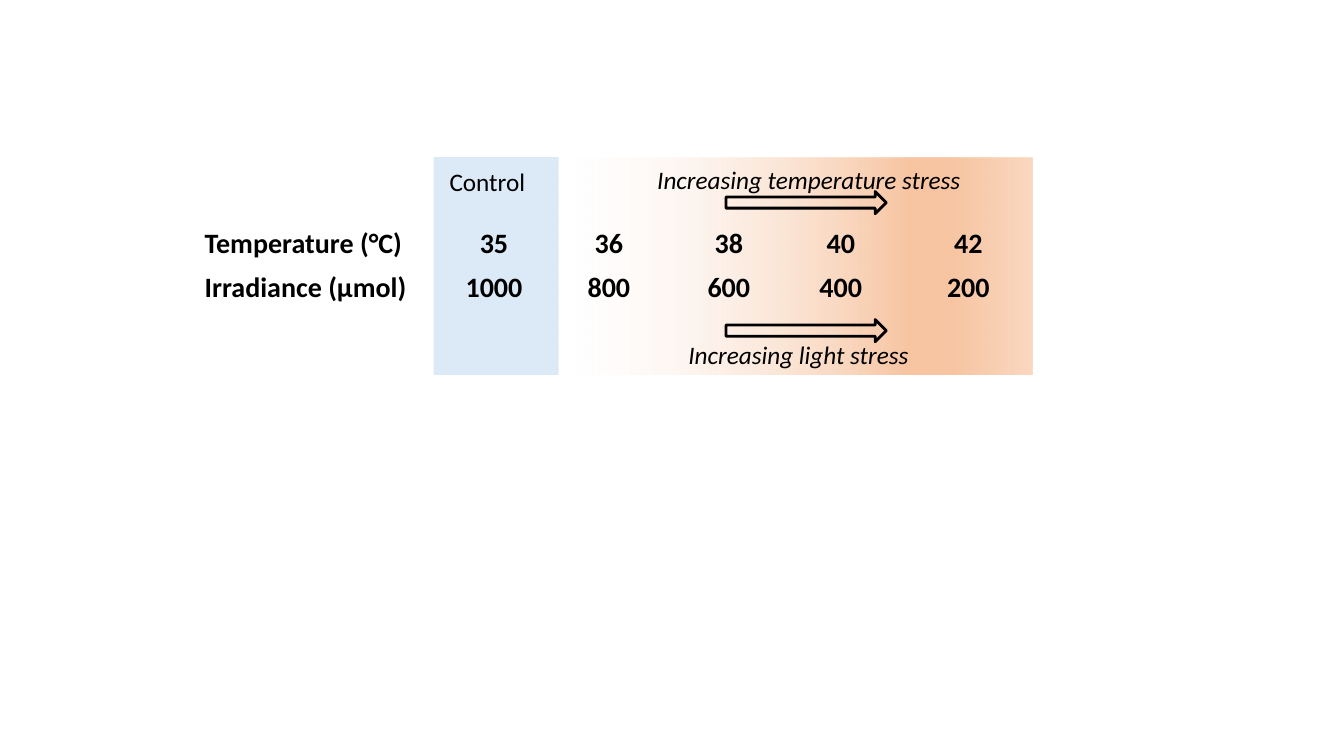
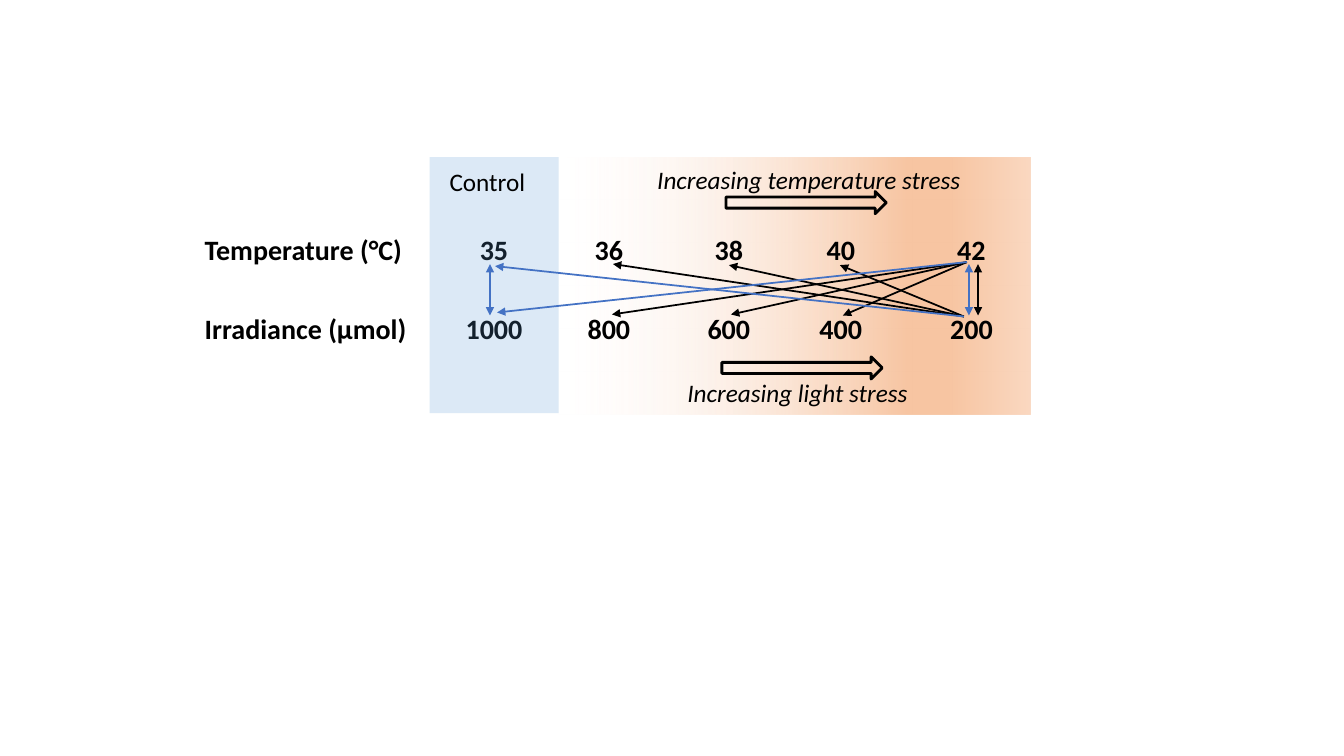
from dataclasses import dataclass

from pptx import Presentation
from pptx.dml.color import RGBColor as RGB
from pptx.enum.shapes import MSO_CONNECTOR as Conn, MSO_SHAPE as Form
from pptx.enum.text import PP_ALIGN as Align
from pptx.oxml import parse_xml
from pptx.oxml.ns import nsdecls, qn
from pptx.util import Inches, Pt


# Shared look
@dataclass(frozen=True)
class Theme:
    font: str = "Calibri"
    ink: str = "000000"
    blue: str = "4472C4"
    cool: str = "5B9BD5"
    tint: int = 21
    # position %, colour, opacity %
    warm: tuple = ((0, "FEF8F5", 0), (74, "F7C5A2", 100),
                   (83, "F7C5A2", 100), (100, "FAD8C1", 100))
    note: int = 18
    cell: int = 20
    edge: float = 2
    link: float = 1.25
    grid: str = "{2D5ABB26-0587-4C30-8999-92F81FD0307C}"  # no style, no grid


LOOK = Theme()
TOP = 1.56
SPLIT = 5.54
COLS = (2.56, 0.82, 1.46, 0.92, 1.3, 1.23)
HEAT = ("Temperature (°C)", "35", "36", "38", "40")
LIGHT = ("Irradiance (μmol)", "1000", "800", "600", "400")

# Links on the second slide
HIGH = (9.59, 2.6)
LOW = (9.56, 3.14)
FANS = (
    (HIGH, ((6.07, 3.12), (7.25, 3.12), (8.36, 3.13)), LOOK.ink),
    (LOW, ((8.33, 2.63), (7.23, 2.63), (6.08, 2.62)), LOOK.ink),
    (LOW, ((4.91, 2.64),), LOOK.blue),
    (HIGH, ((4.93, 3.1),), LOOK.blue),
)
PAIRS = ((4.86, LOOK.blue), (9.61, LOOK.blue), (9.7, LOOK.ink))


# Element kinds
def box(*at):
    return [Inches(n) for n in at]


def write(para, text, size, bold=False, slant=False):
    run = para.add_run()
    run.text = text
    font = run.font
    font.name, font.size = LOOK.font, Pt(size)
    font.bold, font.italic = bold, slant
    font.color.rgb = RGB.from_string(LOOK.ink)


def note(slide, at, text, slant=True):
    frame = slide.shapes.add_textbox(*box(*at)).text_frame
    frame.word_wrap = True
    write(frame.paragraphs[0], text, LOOK.note, slant=slant)


def panel(slide, at, stops, angle=0):
    """Rectangle filled with one tint or a left-to-right gradient."""
    shape = slide.shapes.add_shape(Form.RECTANGLE, *box(*at))
    shape.shadow.inherit = False
    shape.line.fill.background()
    shape.fill.background()
    tones = [f'<a:srgbClr val="{tone}"><a:alpha val="{alpha * 1000}"/></a:srgbClr>'
             for _, tone, alpha in stops]
    if len(stops) == 1:
        fill = f'<a:solidFill {nsdecls("a")}>{tones[0]}</a:solidFill>'
    else:
        marks = "".join(f'<a:gs pos="{stop[0] * 1000}">{tone}</a:gs>'
                        for stop, tone in zip(stops, tones))
        fill = (f'<a:gradFill {nsdecls("a")} rotWithShape="1"><a:gsLst>{marks}'
                f'</a:gsLst><a:lin ang="{angle}" scaled="0"/></a:gradFill>')
    props = shape._element.spPr
    props.replace(props.find(qn("a:noFill")), parse_xml(fill))


def arrow(slide, left, top):
    shape = slide.shapes.add_shape(Form.RIGHT_ARROW, *box(left, top, 1.59, 0.22))
    shape.shadow.inherit = False
    shape.fill.background()
    shape.line.color.rgb = RGB.from_string(LOOK.ink)
    shape.line.width = Pt(LOOK.edge)


def link(slide, start, end, tone, both=False):
    line = slide.shapes.add_connector(Conn.STRAIGHT, *box(*start, *end))
    line.line.color.rgb = RGB.from_string(tone)
    line.line.width = Pt(LOOK.link)
    stroke = line.line._get_or_add_ln()
    for tag in ("headEnd", "tailEnd") if both else ("tailEnd",):
        stroke.append(parse_xml(f'<a:{tag} {nsdecls("a")} type="triangle"/>'))
    line._element.spPr.append(parse_xml(f'<a:effectLst {nsdecls("a")}/>'))


def table(slide, top, pitch, rows):
    at = box(1.93, top, sum(COLS), pitch * len(rows))
    grid = slide.shapes.add_table(len(rows), len(COLS), *at).table
    grid.first_row = grid.horz_banding = False
    grid._tbl.tblPr.find(qn("a:tableStyleId")).text = LOOK.grid
    for col, width in zip(grid.columns, COLS):
        col.width = Inches(width)
    for y, row in enumerate(rows):
        grid.rows[y].height = Inches(pitch)
        for x, text in enumerate(row):
            cell = grid.cell(y, x)
            cell.fill.background()
            para = cell.text_frame.paragraphs[0]
            para.alignment = Align.CENTER if x else Align.LEFT
            write(para, text, LOOK.cell, bold=True)


# Parts common to both slides
def cool(slide, left, high):
    panel(slide, (left, TOP, SPLIT - left, high), ((0, LOOK.cool, LOOK.tint),))


def warm(slide, right, high):
    panel(slide, (SPLIT, TOP, right - SPLIT, high), LOOK.warm)


def labels(slide, low, tip):
    """Captions and block arrows; low and tip place the lower pair."""
    note(slide, (6.42, 1.58, 3.25, 0.4), "Increasing temperature stress")
    note(slide, (*low, 2.5, 0.4), "Increasing light stress")
    note(slide, (4.36, 1.6, 1.02, 0.4), "Control", slant=False)
    arrow(slide, 7.2, 1.9)
    arrow(slide, *tip)


# Slides
def plain(slide):
    cool(slide, 4.3, 2.16)
    warm(slide, 10.24, 2.16)
    table(slide, 2.2, 0.43, ((*HEAT, "42"), (*LIGHT, "200")))
    labels(slide, (6.73, 3.32), (7.2, 3.17))


def linked(slide):
    warm(slide, 10.22, 2.55)
    table(slide, 2.27, 0.78, ((*HEAT, " 42"), (*LIGHT, " 200")))
    cool(slide, 4.26, 2.54)
    labels(slide, (6.72, 3.69), (7.16, 3.54))
    for hub, ends, tone in FANS:
        for end in ends:
            link(slide, hub, end, tone)
    for x, tone in PAIRS:
        link(slide, (x, 2.62), (x, 3.13), tone, both=True)


def main():
    deck = Presentation()
    deck.slide_width, deck.slide_height = box(13.33, 7.5)
    for draw in (plain, linked):
        draw(deck.slides.add_slide(deck.slide_layouts[6]))
    deck.save("out.pptx")


if __name__ == "__main__":
    main()
